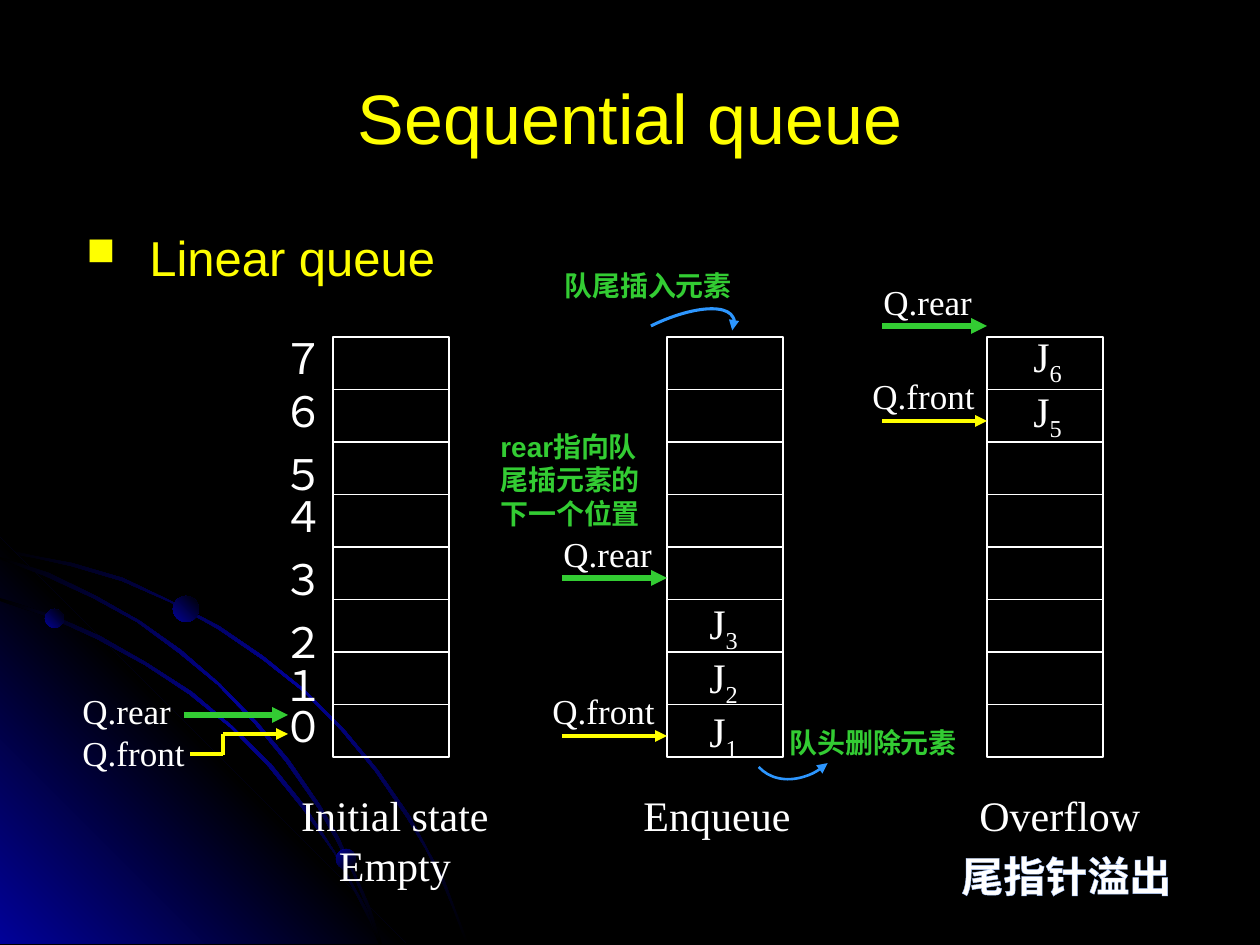
from lxml.etree import SubElement
from pptx import Presentation
from pptx.dml.color import RGBColor
from pptx.enum.shapes import MSO_CONNECTOR, MSO_SHAPE
from pptx.enum.text import MSO_ANCHOR, MSO_AUTO_SIZE, PP_ALIGN
from pptx.oxml import parse_xml
from pptx.oxml.ns import nsdecls, qn
from pptx.util import Pt

SCALE = 914400 / 126
BLACK, WHITE, YELLOW = "000000", "FFFFFF", "FFFF00"
GREEN, SKY, NAVY = "33CC33", "2D96FE", "010199"
SERIF, SANS = "Times New Roman", "Arial"
QUEUE_TOP, QUEUE_WIDTH, QUEUE_HEIGHT, ROWS = 337, 116, 420, 8
NAME_WIDTH = 132

ORBITS = [
    [(72, 563), (35, 556), (0, 548), (0, 552), (35, 558), (71, 566), (122, 581), (170, 602),
     (218, 629), (262, 659), (304, 692), (341, 730), (375, 771), (407, 818), (425, 848),
     (441, 879), (454, 911), (466, 944), (469, 944), (456, 911), (444, 879), (427, 848),
     (410, 816), (378, 770), (343, 728), (305, 690), (263, 656), (219, 626), (171, 601),
     (123, 578)],
    [(359, 900), (370, 922), (379, 944), (382, 944), (373, 920), (360, 897), (335, 852),
     (305, 806), (271, 764), (232, 726), (192, 692), (147, 663), (100, 636), (52, 615),
     (0, 598), (0, 601), (49, 617), (97, 639), (145, 665), (189, 694), (231, 728),
     (268, 766), (302, 808), (334, 853)],
    [(0, 557), (0, 559), (45, 576), (93, 598), (137, 622), (179, 653), (218, 685),
     (255, 724), (286, 762), (318, 808), (336, 840), (353, 874), (368, 910), (379, 944),
     (382, 944), (370, 907), (355, 873), (339, 838), (320, 805), (289, 760), (257, 722),
     (220, 684), (181, 650), (140, 621), (96, 596), (49, 573)],
]
GLOW = [(406, 944), (0, 944), (0, 538)]


def px(*lengths):
    return [round(length * SCALE) for length in lengths]


def color(value):
    return RGBColor.from_string(value)


def set_gradient(shape, colors, angle):
    """Fill with evenly spaced colours; the angle runs clockwise in degrees."""
    shape.shadow.inherit = False
    shape.line.fill.background()
    stops = "".join(
        f'<a:gs pos="{100000 * index // (len(colors) - 1)}"><a:srgbClr val="{value}"/></a:gs>'
        for index, value in enumerate(colors))
    properties = shape._element.spPr
    properties.find(qn("a:ln")).addprevious(parse_xml(
        f'<a:gradFill {nsdecls("a")} rotWithShape="1"><a:gsLst>{stops}</a:gsLst>'
        f'<a:lin ang="{angle * 60000}" scaled="0"/></a:gradFill>'))


def add_polygon(slide, points, colors, angle):
    builder = slide.shapes.build_freeform(*points[0], scale=SCALE)
    builder.add_line_segments(points[1:], close=True)
    set_gradient(builder.convert_to_shape(), colors, angle)


def add_planet(slide, left, top, size, angle):
    shape = slide.shapes.add_shape(MSO_SHAPE.OVAL, *px(left, top, size, size))
    set_gradient(shape, [NAVY, BLACK], angle)


def style_line(shape, line_color, width, arrow=None):
    """Colour the line; arrow is headEnd (start) or tailEnd (finish)."""
    shape.line.color.rgb = color(line_color)
    shape.line.width = Pt(width)
    if arrow:
        SubElement(shape.line._get_or_add_ln(), qn(f"a:{arrow}"), type="triangle")


def add_line(slide, start, end, line_color, width, arrow=None):
    connector = slide.shapes.add_connector(MSO_CONNECTOR.STRAIGHT, *px(*start, *end))
    style_line(connector, line_color, width, arrow)
    SubElement(connector._element.spPr, qn("a:effectLst"))


def add_arc(slide, box, rotation, width, arrow, adjustments=()):
    shape = slide.shapes.add_shape(MSO_SHAPE.ARC, *px(*box))
    shape.shadow.inherit = False
    shape.fill.background()
    shape.rotation = rotation
    for index, value in enumerate(adjustments):
        shape.adjustments[index] = value
    style_line(shape, SKY, width, arrow)


def add_text(slide, text, box, size=24, font=SERIF, text_color=WHITE, bold=False, wrap=False,
             align=None, anchor=MSO_ANCHOR.TOP, subscript="", bullet=None, outline=None,
             grow=True):
    shape = slide.shapes.add_textbox(*px(*box))
    frame = shape.text_frame
    frame.word_wrap = wrap
    frame.auto_size = MSO_AUTO_SIZE.SHAPE_TO_FIT_TEXT if grow else MSO_AUTO_SIZE.NONE
    frame.vertical_anchor = anchor
    frame.text = text
    if subscript:
        run = frame.paragraphs[0].add_run()
        run.text = subscript
        run._r.get_or_add_rPr().set("baseline", "-25000")
    for paragraph in frame.paragraphs:
        paragraph.alignment = align
        if bullet:
            properties = paragraph._p.get_or_add_pPr()
            properties.set("marL", "457200")
            properties.set("indent", "-457200")
            SubElement(properties, qn("a:buSzPct"), val="80000")
            SubElement(properties, qn("a:buChar"), char=bullet)
        for run in paragraph.runs:
            run.font.size = Pt(size)
            run.font.name = font
            run.font.bold = bold
            run.font.color.rgb = color(text_color)
            if outline:
                run._r.get_or_add_rPr().insert(0, parse_xml(
                    f'<a:ln {nsdecls("a")} w="10160"><a:solidFill>'
                    f'<a:srgbClr val="{outline}"/></a:solidFill></a:ln>'))


def add_note(slide, text, box):
    add_text(slide, text, box, size=16, font=SANS, text_color=GREEN, bold=True, wrap=True)


def add_pointer(slide, name, left, top, tip, line_color, width):
    """A named arrow that ends at the tip."""
    add_text(slide, name, (left, top, NAME_WIDTH, 54), size=20, align=PP_ALIGN.LEFT)
    add_line(slide, (tip[0] - 105, tip[1]), tip, line_color, width, "tailEnd")


def add_queue(slide, left):
    frame = slide.shapes.add_shape(
        MSO_SHAPE.RECTANGLE, *px(left, QUEUE_TOP, QUEUE_WIDTH, QUEUE_HEIGHT))
    frame.shadow.inherit = False
    frame.fill.background()
    style_line(frame, WHITE, 0.75)
    for row in range(1, ROWS):
        y = QUEUE_TOP + row * QUEUE_HEIGHT / ROWS
        add_line(slide, (left, y), (left + QUEUE_WIDTH, y), WHITE, 0.75)


def add_backdrop(slide):
    slide.background.fill.solid()
    slide.background.fill.fore_color.rgb = color(BLACK)
    band = [BLACK, NAVY, BLACK]
    add_polygon(slide, ORBITS[0], band, 45)
    add_polygon(slide, GLOW, [NAVY, BLACK, NAVY], 315)
    for orbit in ORBITS[1:]:
        add_polygon(slide, orbit, band, 45)
    for planet in [(45, 609, 19, 315), (336, 849, 20, 45), (173, 596, 26, 315)]:
        add_planet(slide, *planet)


def main():
    presentation = Presentation()
    presentation.slide_width, presentation.slide_height = px(1260, 945)
    slide = presentation.slides.add_slide(presentation.slide_layouts[6])
    add_backdrop(slide)

    add_text(slide, "Sequential queue", (63, 38, 1134, 158), size=40, font=SANS,
             text_color=YELLOW, wrap=True, align=PP_ALIGN.CENTER, anchor=MSO_ANCHOR.MIDDLE,
             grow=False)
    add_text(slide, "Linear queue", (74, 221, 456, 72), size=28, font=SANS,
             text_color=YELLOW, wrap=True, bullet="■")

    for left in (333, 667, 987):
        add_queue(slide, left)
    for digit, top in zip("０１２３４５６７", (694, 653, 610, 547, 484, 442, 379, 326)):
        add_text(slide, digit, (270, top, 67, 63))
    for number, left, top in [("1", 697, 699), ("2", 697, 645), ("3", 697, 591),
                              ("6", 1021, 324), ("5", 1021, 379)]:
        add_text(slide, "J", (left, top, 55, 63), subscript=number)

    add_text(slide, "Q.rear\nQ.front", (70, 683, NAME_WIDTH, 97), size=20, align=PP_ALIGN.LEFT)
    add_line(slide, (184, 715), (288, 715), GREEN, 3, "tailEnd")
    add_line(slide, (190, 754), (223, 754), YELLOW, 2.25)
    add_line(slide, (223, 755), (223, 734), YELLOW, 2.25)
    add_line(slide, (223, 734), (288, 734), YELLOW, 2.25, "tailEnd")
    add_pointer(slide, "Q.front", 540, 683, (667, 736), YELLOW, 2.25)
    add_pointer(slide, "Q.rear", 551, 526, (667, 578), GREEN, 3)
    add_pointer(slide, "Q.rear", 871, 274, (987, 326), GREEN, 3)
    add_pointer(slide, "Q.front", 860, 368, (987, 421), YELLOW, 2.25)

    add_text(slide, "Initial state\nEmpty", (288, 783, 214, 113), align=PP_ALIGN.CENTER)
    add_text(slide, "Enqueue", (630, 783, 174, 63), align=PP_ALIGN.CENTER)
    add_text(slide, "Overflow", (967, 783, 187, 63))
    add_text(slide, "尾指针溢出", (949, 844, 256, 63), font=SANS, bold=True, wrap=True,
             outline="ADCAFF")

    add_arc(slide, (586, 323, 155, 57), 333.8, 1.75, "tailEnd", (162, 5.49))
    add_note(slide, "队尾插入元素", (552, 262, 220, 47))
    add_arc(slide, (745, 688, 108, 86), 138.3, 1.5, "headEnd")
    add_note(slide, "队头删除元素", (777, 719, 220, 47))
    add_note(slide, "rear指向队尾插元素的下一个位置", (488, 423, 173, 115))

    presentation.save("out.pptx")


if __name__ == "__main__":
    main()
